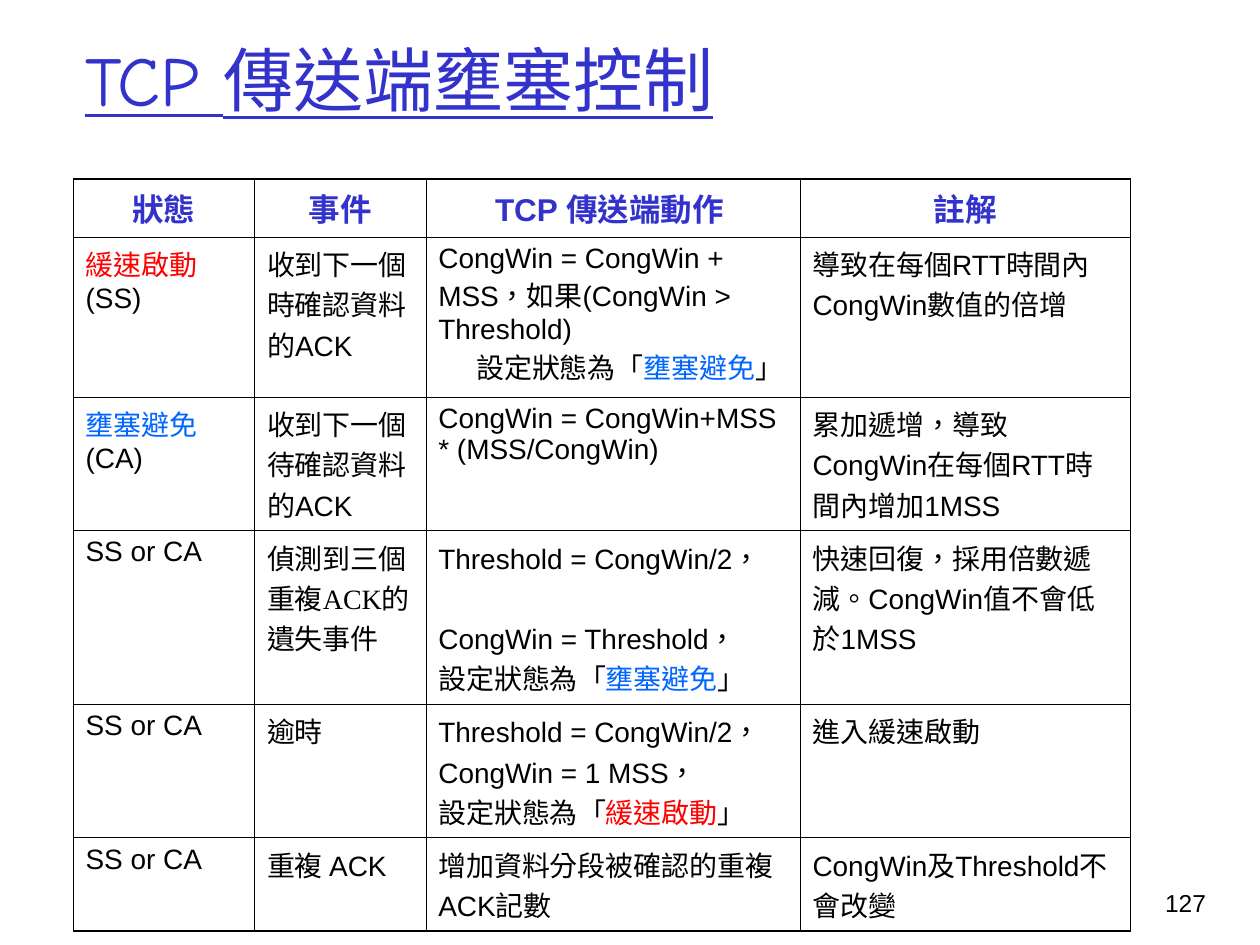
from dataclasses import dataclass

import pptx
import pptx.dml.color
import pptx.enum.text
import pptx.oxml
import pptx.oxml.ns
import pptx.util

RGBColor = pptx.dml.color.RGBColor
Align = pptx.enum.text.PP_ALIGN
Anchor = pptx.enum.text.MSO_ANCHOR

BLACK = RGBColor(0x00, 0x00, 0x00)
HEADING = RGBColor(0x33, 0x33, 0xCC)
SLOW_START = RGBColor(0xFF, 0x00, 0x00)
AVOIDANCE = RGBColor(0x00, 0x66, 0xFF)

SLIDE_WIDTH = pptx.util.Inches(10)
SLIDE_HEIGHT = pptx.util.Inches(7.5)
GRID_COLUMNS = 10
SANS = "Arial"
COMIC = "Comic Neue"
SERIF = "Times New Roman"
LANGUAGE = "zh-TW"

COLUMN_SPANS = (1.44, 1.36, 2.97, 2.62)
ROW_SPANS = (0.46, 1.27, 1.06, 1.38, 1.06, 0.74)
SIDE_RULE, INNER_RULE, OUTER_RULE = 0.34, 0.45, 0.96


@dataclass(frozen=True)
class Span:
    text: str
    color: RGBColor | None = None
    font: str | None = None


@dataclass(frozen=True)
class Line:
    spans: tuple[Span, ...]
    size: float = 16
    font: str = SANS
    color: RGBColor = BLACK
    bold: bool = False
    underline: bool = False
    align: Align = Align.LEFT
    indent: float = 0
    space_before: float = 0


Cell = tuple[Line, ...]
COMMA = Span("，", font=COMIC)


def grid(units: float) -> int:
    return round(units * SLIDE_WIDTH / GRID_COLUMNS)


def plain(text: str, font: str = SANS) -> Cell:
    return (Line((Span(text),), font=font),)


def header(text: str) -> Cell:
    return (Line((Span(text),), size=18, color=HEADING, bold=True, align=Align.CENTER),)


def state(name: str, abbreviation: str, color: RGBColor) -> Cell:
    return (Line((Span(name + " ", color), Span(abbreviation))),)


def with_comma(before: str, after: str = "", space_before: float = 0) -> Line:
    tail = (Span(after),) if after else ()
    return Line((Span(before), COMMA, *tail), space_before=space_before)


def set_state(name: str, color: RGBColor, indent: float = 0) -> Line:
    spans = (
        Span("設定狀態為"),
        Span("「", font=COMIC),
        Span(name, color, COMIC),
        Span("」", font=COMIC),
    )
    return Line(spans, indent=indent)


EITHER_STATE = plain("SS or CA")
HALVE_THRESHOLD = with_comma("Threshold = CongWin/2")

ROWS: tuple[tuple[Cell, ...], ...] = (
    tuple(header(text) for text in ("狀態", "事件", "TCP 傳送端動作 ", "註解")),
    (
        state("緩速啟動", "(SS)", SLOW_START),
        plain("收到下一個時確認資料的ACK"),
        (
            with_comma("CongWin = CongWin + MSS", "如果(CongWin > Threshold)"),
            set_state("壅塞避免", AVOIDANCE, indent=0.3),
        ),
        plain("導致在每個RTT時間內CongWin數值的倍增"),
    ),
    (
        state("壅塞避免", "(CA)", AVOIDANCE),
        plain("收到下一個待確認資料的ACK"),
        plain("CongWin = CongWin+MSS * (MSS/CongWin)"),
        (with_comma("累加遞增", "導致CongWin在每個RTT時間內增加1MSS"),),
    ),
    (
        EITHER_STATE,
        plain("偵測到三個重複ACK的遺失事件", SERIF),
        (
            HALVE_THRESHOLD,
            with_comma("CongWin = Threshold", space_before=23),
            set_state("壅塞避免", AVOIDANCE),
        ),
        (with_comma("快速回復", "採用倍數遞減。CongWin值不會低於1MSS"),),
    ),
    (
        EITHER_STATE,
        plain("逾時", SERIF),
        (
            HALVE_THRESHOLD,
            with_comma("CongWin = 1 MSS"),
            set_state("緩速啟動", SLOW_START),
        ),
        plain("進入緩速啟動"),
    ),
    (
        EITHER_STATE,
        plain("重複 ACK"),
        plain("增加資料分段被確認的重複ACK記數"),
        plain("CongWin及Threshold不會改變"),
    ),
)


def write_lines(frame: pptx.text.text.TextFrame, lines: Cell) -> None:
    frame.word_wrap = True
    for number, line in enumerate(lines):
        paragraph = frame.add_paragraph() if number else frame.paragraphs[0]
        paragraph.alignment = line.align
        if line.indent:
            paragraph._p.get_or_add_pPr().set("marL", str(grid(line.indent)))
        if line.space_before:
            paragraph.space_before = pptx.util.Pt(line.space_before)
        paragraph.font.size = pptx.util.Pt(line.size)
        paragraph.font.bold = line.bold
        paragraph.font.underline = line.underline
        if all(span.font is None for span in line.spans):
            paragraph.font.name = line.font
        if all(span.color is None for span in line.spans):
            paragraph.font.color.rgb = line.color
        for span in line.spans:
            run = paragraph.add_run()
            run.text = span.text
            run._r.get_or_add_rPr().set("lang", LANGUAGE)
            if any(other.font for other in line.spans):
                run.font.name = span.font or line.font
            if any(other.color for other in line.spans):
                run.font.color.rgb = span.color or line.color


def add_text(slide: pptx.slide.Slide, box: tuple[float, float, float, float],
             line: Line, anchor: Anchor = Anchor.TOP) -> None:
    frame = slide.shapes.add_textbox(*map(grid, box)).text_frame
    frame.vertical_anchor = anchor
    write_lines(frame, (line,))


def add_borders(cell: pptx.table._Cell, top: float, bottom: float) -> None:
    properties = cell._tc.get_or_add_tcPr()
    widths = {"lnL": SIDE_RULE, "lnR": SIDE_RULE, "lnT": top, "lnB": bottom}
    for position, (edge, width) in enumerate(widths.items()):
        properties.insert(position, pptx.oxml.parse_xml(
            f'<a:{edge} {pptx.oxml.ns.nsdecls("a")} w="{pptx.util.Pt(width)}">'
            f'<a:solidFill><a:srgbClr val="{BLACK}"/></a:solidFill></a:{edge}>'))


def add_control_table(slide: pptx.slide.Slide) -> None:
    box = (0.58, 1.42, sum(COLUMN_SPANS), sum(ROW_SPANS))
    table = slide.shapes.add_table(len(ROWS), len(COLUMN_SPANS), *map(grid, box)).table
    table.first_row = False
    table.horz_banding = False
    for column, span in zip(table.columns, COLUMN_SPANS):
        column.width = grid(span)
    for index, (row, span, contents) in enumerate(zip(table.rows, ROW_SPANS, ROWS)):
        row.height = grid(span)
        top = OUTER_RULE if index == 0 else INNER_RULE
        bottom = OUTER_RULE if index == len(ROWS) - 1 else INNER_RULE
        for cell, lines in zip(row.cells, contents):
            cell.fill.background()
            add_borders(cell, top, bottom)
            write_lines(cell.text_frame, lines)


def main() -> None:
    deck = pptx.Presentation()
    deck.slide_width, deck.slide_height = SLIDE_WIDTH, SLIDE_HEIGHT
    slide = deck.slides.add_slide(deck.slide_layouts[6])
    title = Line((Span("TCP 傳送端壅塞控制"),), 40, COMIC, HEADING, underline=True)
    add_text(slide, (0.58, 0, 8.5, 1.25), title, Anchor.MIDDLE)
    add_control_table(slide)
    page_number = Line((Span("127"),), size=14, align=Align.RIGHT)
    add_text(slide, (8.93, 7, 0.74, 0.5), page_number)
    deck.save("out.pptx")


if __name__ == "__main__":
    main()
